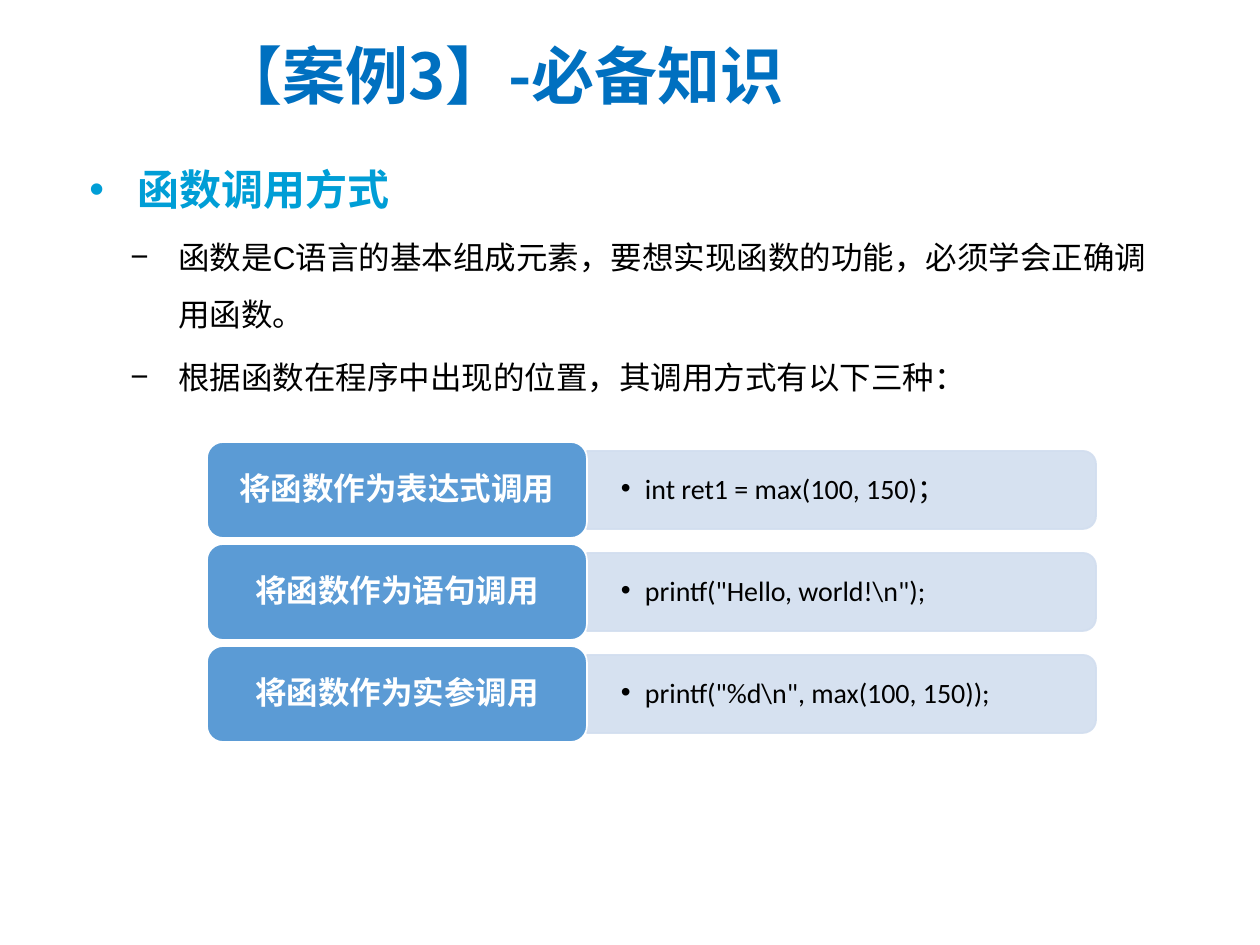
from math import cos, radians, sin

from lxml.etree import SubElement
from pptx import Presentation
from pptx.dml.color import RGBColor
from pptx.enum.shapes import MSO_SHAPE
from pptx.enum.text import MSO_ANCHOR, MSO_AUTO_SIZE, PP_ALIGN
from pptx.oxml.ns import qn
from pptx.util import Emu, Pt

EMU_PER_PX = 914400 / 126
CJK_FONT = "Noto Sans CJK SC"
BLACK, WHITE = "000000", "FFFFFF"
TITLE_BLUE, HEADING_BLUE = "0070C0", "009ED6"
LABEL_BLUE, CODE_BLUE = "5B9BD5", "D2DEEF"


def px(length):
    return Emu(round(length * EMU_PER_PX))


def rgb(hex_code):
    return RGBColor.from_string(hex_code)


def apply(target, values):
    for name, value in values.items():
        setattr(target, name, value)


class Slide:
    def __init__(self, deck):
        self.shapes = deck.slides.add_slide(deck.slide_layouts[6]).shapes

    def fill_text(self, shape, texts, size, color, font="Calibri", bold=False,
                  bullet=None, indent=0, margins=None, frame=None, paragraph=None):
        """Fill a shape with paragraphs that share one format."""
        body = shape.text_frame
        apply(body, {"word_wrap": True, **(frame or {})})
        if margins:
            sides = ("margin_left", "margin_top", "margin_right", "margin_bottom")
            apply(body, dict(zip(sides, map(px, margins))))
        for index, text in enumerate(texts):
            line = body.add_paragraph() if index else body.paragraphs[0]
            apply(line, {"alignment": PP_ALIGN.LEFT, **(paragraph or {})})
            run = line.add_run()
            run.text = text
            apply(run.font, {"name": font, "size": Pt(size), "bold": bold})
            run.font.color.rgb = rgb(color)
            SubElement(run._r.get_or_add_rPr(), qn("a:ea"), typeface=CJK_FONT)
            properties = line._p.get_or_add_pPr()
            if indent:
                properties.set("marL", str(px(indent)))
                properties.set("indent", str(-px(indent)))
            if bullet:
                SubElement(properties, qn("a:buFont"), typeface="Arial")
                SubElement(properties, qn("a:buChar"), char=bullet)

    def text(self, box, texts, size, color, **style):
        self.fill_text(self.shapes.add_textbox(*map(px, box)), texts, size, color, **style)

    def paint(self, shape, fill, line, opacity=100):
        shape.shadow.inherit = False
        shape.line.width = Pt(1)
        shape.fill.solid()
        for part, color in ((shape.fill.fore_color, fill), (shape.line.color, line)):
            part.rgb = rgb(color)
        if opacity < 100:
            for color_node in shape._element.spPr.iter(qn("a:srgbClr")):
                SubElement(color_node, qn("a:alpha"), val=str(opacity * 1000))

    def label(self, box, text, radius=16):
        shape = self.shapes.add_shape(MSO_SHAPE.ROUNDED_RECTANGLE, *map(px, box))
        shape.adjustments[0] = radius / box[3]
        self.paint(shape, LABEL_BLUE, WHITE)
        self.fill_text(shape, [text], 18, WHITE, bold=True, margins=(9, 5, 9, 5),
                       frame={"vertical_anchor": MSO_ANCHOR.MIDDLE},
                       paragraph={"alignment": PP_ALIGN.CENTER, "line_spacing": 0.9,
                                  "space_after": Pt(6.3)})

    def code(self, box, text, radius=13):
        """Draw a code panel whose right corners alone are round."""
        left, top, width, height = box
        right, bottom = left + width, top + height
        corners = ((top + radius, -90), (bottom - radius, 0))
        outline = [(px(right - radius + radius * cos(radians(start + turn))),
                    px(center + radius * sin(radians(start + turn))))
                   for center, start in corners for turn in range(0, 91, 15)]
        builder = self.shapes.build_freeform(px(left), px(top))
        builder.add_line_segments(outline + [(px(left), px(bottom))], close=True)
        shape = builder.convert_to_shape()
        self.paint(shape, CODE_BLUE, CODE_BLUE, opacity=90)
        self.fill_text(shape, [text], 16, BLACK, bullet="•", indent=24,
                       margins=(34, 21, 38, 21),
                       frame={"vertical_anchor": MSO_ANCHOR.MIDDLE},
                       paragraph={"line_spacing": 0.9, "space_after": Pt(2.4)})


def main():
    deck = Presentation()
    apply(deck, {"slide_width": px(1260), "slide_height": px(945)})
    slide = Slide(deck)

    slide.text((118, 213, 1048, 192),
               ["函数是C语言的基本组成元素，要想实现函数的功能，必须学会正确调用函数。",
                "根据函数在程序中出现的位置，其调用方式有以下三种："],
               18, BLACK, font="Arial", bullet="−", indent=48,
               frame={"auto_size": MSO_AUTO_SIZE.SHAPE_TO_FIT_TEXT},
               paragraph={"line_spacing": 1.5, "space_before": Pt(3.6)})
    slide.text((77, 132, 329, 89), ["函数调用方式"], 24, HEADING_BLUE, bold=True,
               bullet="•", indent=48,
               frame={"word_wrap": False,
                      "auto_size": MSO_AUTO_SIZE.SHAPE_TO_FIT_TEXT},
               paragraph={"line_spacing": 1.5, "space_before": Pt(4.8)})

    call_styles = (
        ("将函数作为表达式调用", "int ret1 = max(100, 150)；"),
        ("将函数作为语句调用", 'printf("Hello, world!\\n");'),
        ("将函数作为实参调用", 'printf("%d\\n", max(100, 150));'),
    )
    for row, (usage, example) in enumerate(call_styles):
        top = 442 + 102 * row
        slide.code((587, top + 9, 509, 78), example)
        slide.label((207, top, 380, 96), usage)

    slide.text((207, 21, 709, 106), ["【案例3】-必备知识"], 36, TITLE_BLUE,
               font=CJK_FONT, bold=True, indent=78,
               frame={"vertical_anchor": MSO_ANCHOR.MIDDLE})
    deck.save("out.pptx")


if __name__ == "__main__":
    main()
